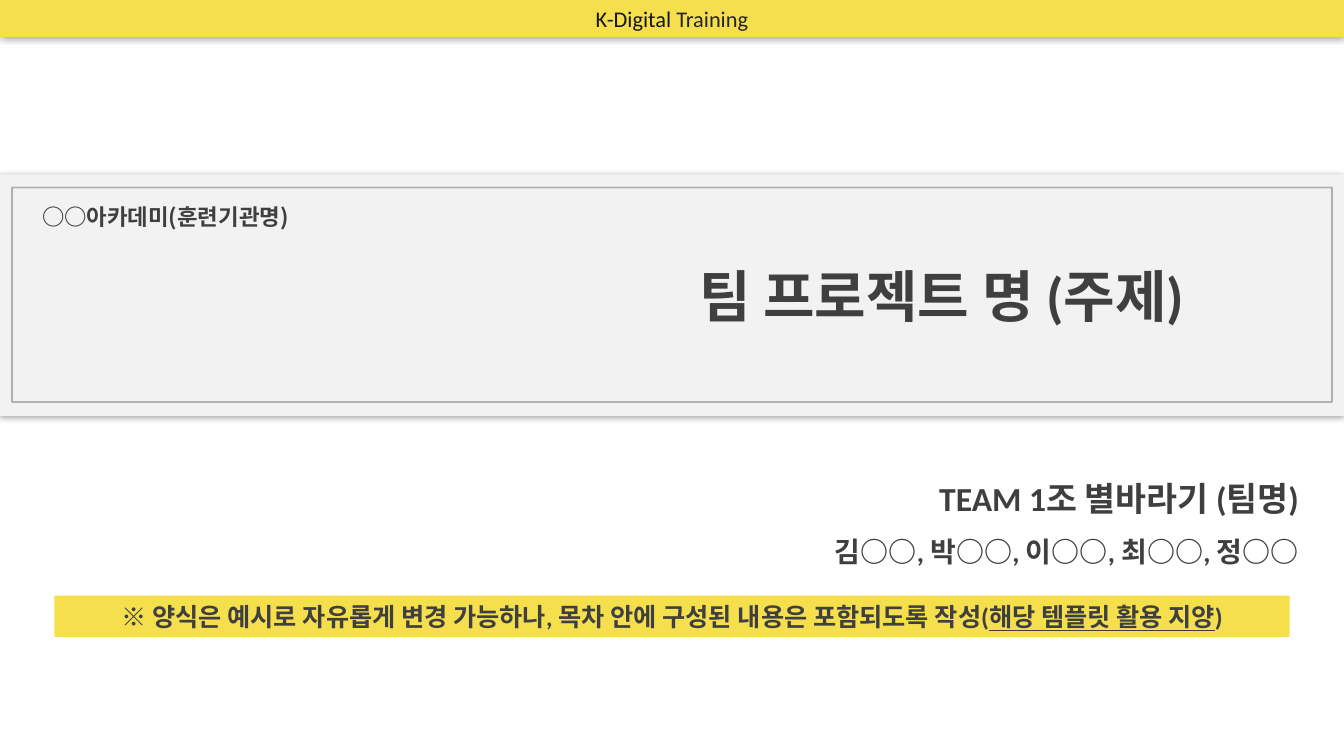
from lxml import etree
from pptx import Presentation
from pptx.dml.color import RGBColor
from pptx.enum.shapes import MSO_SHAPE
from pptx.enum.text import MSO_ANCHOR, PP_ALIGN
from pptx.oxml.ns import qn
from pptx.util import Inches, Pt

YELLOW = RGBColor(0xF5, 0xDF, 0x4D)
PALE_GRAY = RGBColor(0xF2, 0xF2, 0xF2)
FRAME_GRAY = RGBColor(0x93, 0x95, 0x97)
DARK_GRAY = RGBColor(0x3F, 0x3F, 0x3F)
NEAR_BLACK = RGBColor(0x17, 0x16, 0x16)
CHARCOAL = RGBColor(0x26, 0x26, 0x26)

LATIN_FONT = "Calibri"
KOREAN_FONT = "Noto Sans CJK KR"
SLIDE_WIDTH, SLIDE_HEIGHT = 13.33, 7.5


def add_alpha(color_element, percent):
    etree.SubElement(color_element, qn("a:alpha"), val=str(percent * 1000))


def add_soft_shadow(shape):
    """Give the shape an even black glow at 40 percent, 5 points wide."""
    effects = shape._element.spPr.find(qn("a:effectLst"))
    shadow = etree.SubElement(effects, qn("a:outerShdw"), blurRad=str(Pt(5)),
                              dist="0", dir="0", algn="ctr", rotWithShape="0")
    add_alpha(etree.SubElement(shadow, qn("a:srgbClr"), val="000000"), 40)


def add_band(slide, box, fill):
    band = slide.shapes.add_shape(MSO_SHAPE.RECTANGLE, *map(Inches, box))
    band.shadow.inherit = False
    band.fill.solid()
    band.fill.fore_color.rgb = fill
    band.line.fill.background()
    return band


def add_frame(slide, box):
    frame = slide.shapes.add_shape(MSO_SHAPE.RECTANGLE, *map(Inches, box))
    frame.shadow.inherit = False
    frame.fill.background()
    frame.line.color.rgb = FRAME_GRAY
    frame.line.width = Pt(1.25)
    add_alpha(frame.line._ln.find(".//" + qn("a:srgbClr")), 70)


def set_frame(shape, anchor=MSO_ANCHOR.TOP, inset=0.05):
    text = shape.text_frame
    settings = {
        "word_wrap": True,
        "vertical_anchor": anchor,
        "margin_left": Inches(0.1),
        "margin_right": Inches(0.1),
        "margin_top": Inches(inset),
        "margin_bottom": Inches(inset),
    }
    for name, value in settings.items():
        setattr(text, name, value)
    return text


def write(paragraph, runs, size, align=PP_ALIGN.CENTER, font=LATIN_FONT, bold=True):
    """Fill the paragraph from (text, colour, underline) runs."""
    paragraph.alignment = align
    for words, color, underline in runs:
        run = paragraph.add_run()
        run.text = words
        formats = {"size": Pt(size), "name": font, "bold": bold, "underline": underline}
        for name, value in formats.items():
            setattr(run.font, name, value)
        run.font.color.rgb = color
        etree.SubElement(run.font._element, qn("a:ea"), typeface=KOREAN_FONT)


def add_label(slide, box, words, size, font=LATIN_FONT, inset=0.05):
    label = slide.shapes.add_textbox(*map(Inches, box))
    text = set_frame(label, inset=inset)
    write(text.paragraphs[0], [(words, DARK_GRAY, False)], size, font=font)


def add_team(slide, box, lines):
    text = set_frame(slide.shapes.add_textbox(*map(Inches, box)), inset=0)
    for index, (words, size) in enumerate(lines):
        paragraph = text.add_paragraph() if index else text.paragraphs[0]
        paragraph.line_spacing = 1.5
        write(paragraph, [(words, DARK_GRAY, False)], size, PP_ALIGN.RIGHT)


def main():
    deck = Presentation()
    deck.slide_width, deck.slide_height = Inches(SLIDE_WIDTH), Inches(SLIDE_HEIGHT)
    slide = deck.slides.add_slide(deck.slide_layouts[6])

    add_team(slide, (7.34, 4.54, 5.64, 1.11), [
        ("TEAM 1조 별바라기 (팀명)", 24),
        ("김○○, 박○○, 이○○, 최○○, 정○○", 20),
    ])

    notice = add_band(slide, (0.54, 5.91, 12.25, 0.41), YELLOW)
    write(set_frame(notice, MSO_ANCHOR.MIDDLE).paragraphs[0], [
        ("※ 양식은 예시로 자유롭게 변경 가능하나, 목차 안에 구성된 내용은 포함되도록 작성(",
         DARK_GRAY, False),
        ("해당 템플릿 활용 지양", DARK_GRAY, True),
        (")", DARK_GRAY, False),
    ], 18)

    add_soft_shadow(add_band(slide, (0, 1.73, SLIDE_WIDTH, 2.4), PALE_GRAY))
    add_label(slide, (0.2, 1.97, 2.88, 0.37), "○○아카데미(훈련기관명)", 16, font=KOREAN_FONT)
    add_label(slide, (5.64, 2.59, 7.4, 0.67), "팀 프로젝트 명 (주제)", 40, inset=0)

    header = add_band(slide, (0, 0, SLIDE_WIDTH, 0.37), YELLOW)
    add_soft_shadow(header)
    write(set_frame(header).paragraphs[0], [
        ("K-Digital ", NEAR_BLACK, False),
        ("Training", CHARCOAL, False),
    ], 16, bold=False)

    add_frame(slide, (0.12, 1.86, 13.09, 2.13))
    deck.save("out.pptx")


if __name__ == "__main__":
    main()
